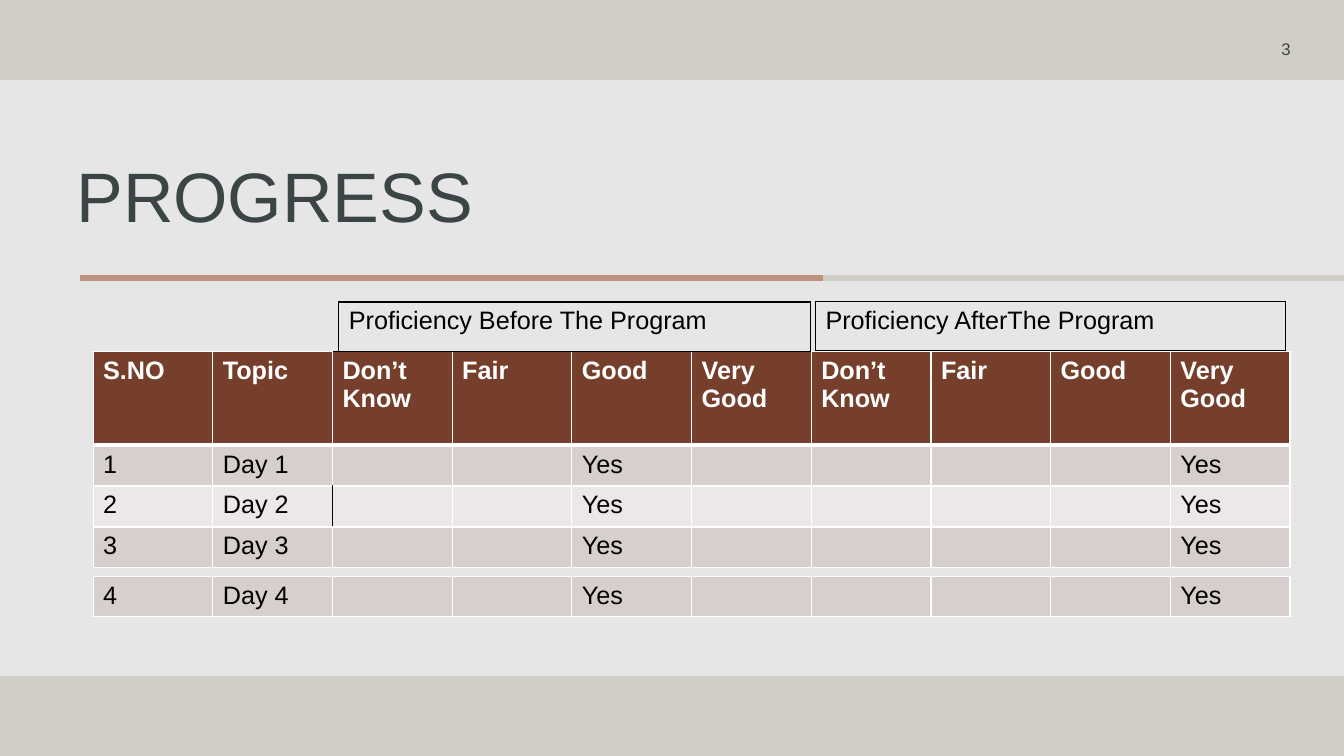
from lxml.etree import SubElement
from pptx import Presentation
from pptx.dml.color import RGBColor
from pptx.enum.shapes import MSO_CONNECTOR, MSO_SHAPE
from pptx.enum.text import MSO_ANCHOR, PP_ALIGN
from pptx.oxml.ns import qn
from pptx.util import Pt

STONE = RGBColor(0xD0, 0xCD, 0xC5)
PALE = RGBColor(0xE7, 0xE6, 0xE6)
COPPER = RGBColor(0xBE, 0x93, 0x7E)
SLATE = RGBColor(0x3B, 0x45, 0x46)
BROWN = RGBColor(0x75, 0x3F, 0x2C)
ROSE = RGBColor(0xD6, 0xCF, 0xCD)
BLUSH = RGBColor(0xEC, 0xE8, 0xE8)
WHITE = RGBColor(0xFF, 0xFF, 0xFF)
BLACK = RGBColor(0, 0, 0)

SIDES = {"left": "a:lnL", "right": "a:lnR", "top": "a:lnT", "bottom": "a:lnB"}


class SlideBuilder:
    """Holds the text style and the current page; lengths are in points."""

    font_name = "Arial"
    table_size = 18

    def __init__(self, page):
        self.page = page

    def style(self, para, size, color, bold=False):
        font = para.font
        font.name, font.size, font.bold = self.font_name, Pt(size), bold
        font.color.rgb = color

    def panel(self, left, top, width, height, color):
        box = self.page.shapes.add_shape(
            MSO_SHAPE.RECTANGLE, Pt(left), Pt(top), Pt(width), Pt(height))
        box.shadow.inherit = False
        box.fill.solid()
        box.fill.fore_color.rgb = color
        box.line.fill.background()

    def rule(self, start, end, top, color, width):
        line = self.page.shapes.add_connector(
            MSO_CONNECTOR.STRAIGHT, Pt(start), Pt(top), Pt(end), Pt(top))
        line.line.color.rgb = color
        line.line.width = Pt(width)
        SubElement(line._element.spPr, qn("a:effectLst"))

    def text(self, words, left, top, width, height, size, color,
             align=PP_ALIGN.LEFT, anchor=MSO_ANCHOR.TOP, spacing=1.0):
        box = self.page.shapes.add_textbox(Pt(left), Pt(top), Pt(width), Pt(height))
        frame = box.text_frame
        frame.word_wrap = True
        frame.vertical_anchor = anchor
        para = frame.paragraphs[0]
        para.text = words
        para.alignment = align
        para.line_spacing = spacing
        self.style(para, size, color)

    def border(self, cell, sides):
        properties = cell._tc.get_or_add_tcPr()
        for side, tag in SIDES.items():
            color, width = sides[side]
            line = SubElement(properties, qn(tag), w=str(Pt(width)))
            fill = SubElement(line, qn("a:solidFill"))
            SubElement(fill, qn("a:srgbClr"), val=str(color))

    def table(self, rows, left, top, width, heights, fills, edge,
              header=False, special=None):
        """special maps (row, column) to the sides that differ from edge."""
        count = len(rows[0])
        table = self.page.shapes.add_table(
            len(rows), count, Pt(left), Pt(top), Pt(width), Pt(sum(heights))).table
        table.first_row = header
        table.horz_banding = False
        for column in table.columns:
            column.width = Pt(width / count)
        for r, words in enumerate(rows):
            table.rows[r].height = Pt(heights[r])
            is_header = header and r == 0
            for c, word in enumerate(words):
                cell = table.cell(r, c)
                sides = dict.fromkeys(SIDES, (edge, 1))
                if is_header:
                    sides["bottom"] = (edge, 3)
                elif header and r == 1:
                    sides["top"] = (edge, 3)
                sides.update((special or {}).get((r, c), {}))
                self.border(cell, sides)
                if fills[r] is None:
                    cell.fill.background()
                else:
                    cell.fill.solid()
                    cell.fill.fore_color.rgb = fills[r]
                para = cell.text_frame.paragraphs[0]
                if word:
                    para.text = word
                self.style(para, self.table_size,
                           WHITE if is_header else BLACK, is_header)


def day_row(day):
    ratings = ["", "", "Yes", "", "", "", "", "Yes"]
    return [str(day), f"Day {day}"] + ratings


def main():
    deck = Presentation()
    deck.slide_width, deck.slide_height = Pt(960), Pt(540)
    page = deck.slides.add_slide(deck.slide_layouts[6])
    page.background.fill.solid()
    page.background.fill.fore_color.rgb = STONE
    builder = SlideBuilder(page)

    # Backdrop and two-tone rule
    builder.panel(0, 57, 960, 426, PALE)
    builder.rule(587, 960, 198.5, STONE, 4.5)
    builder.rule(57.5, 588, 198.5, COPPER, 4.5)

    # Title and page number
    builder.text("PROGRESS", 47.5, 117, 828, 54, 50, SLATE, spacing=0.8)
    builder.text("3", 797, 24, 132, 21.5, 12, SLATE,
                 PP_ALIGN.RIGHT, MSO_ANCHOR.MIDDLE)

    # Daily ratings
    levels = ["Don’t Know", "Fair", "Good", "Very Good"]
    rows = [["S.NO", "Topic"] + levels * 2] + [day_row(day) for day in (1, 2, 3)]
    black_line = (BLACK, 1)
    builder.table(rows, 66.5, 251, 855, [67, 29.2, 29.2, 29.2],
                  [BROWN, ROSE, BLUSH, ROSE], WHITE, header=True,
                  special={(0, 2): {"top": black_line},
                           (2, 1): {"right": black_line},
                           (2, 2): {"left": black_line}})

    # Group headings above the ratings
    builder.table([["Proficiency Before The Program"]],
                  242, 215.7, 337, [35.2], [None], BLACK)
    builder.table([["Proficiency AfterThe Program"]],
                  582.5, 215.2, 336, [35.2], [None], BLACK)

    # Last day, set apart
    builder.table([day_row(4)], 66.5, 411.7, 855, [28], [ROSE], WHITE)

    deck.save("out.pptx")


if __name__ == "__main__":
    main()
